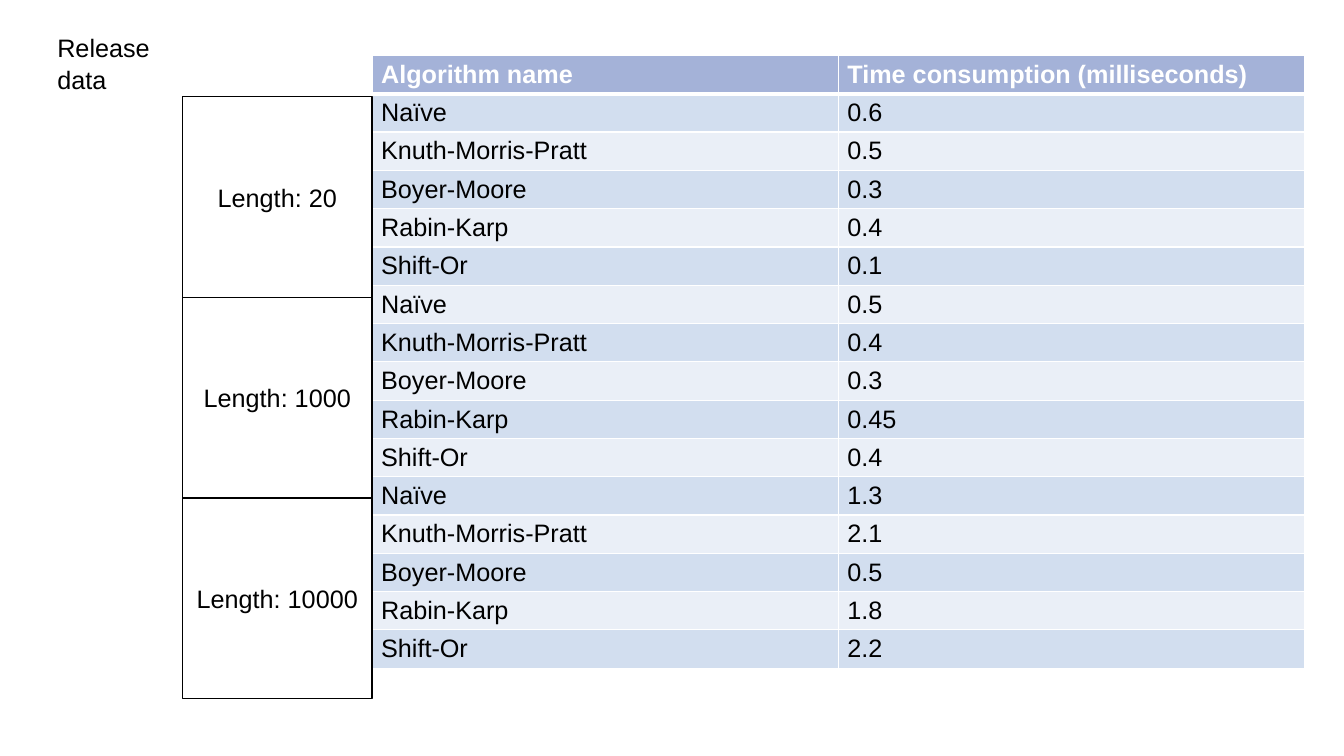
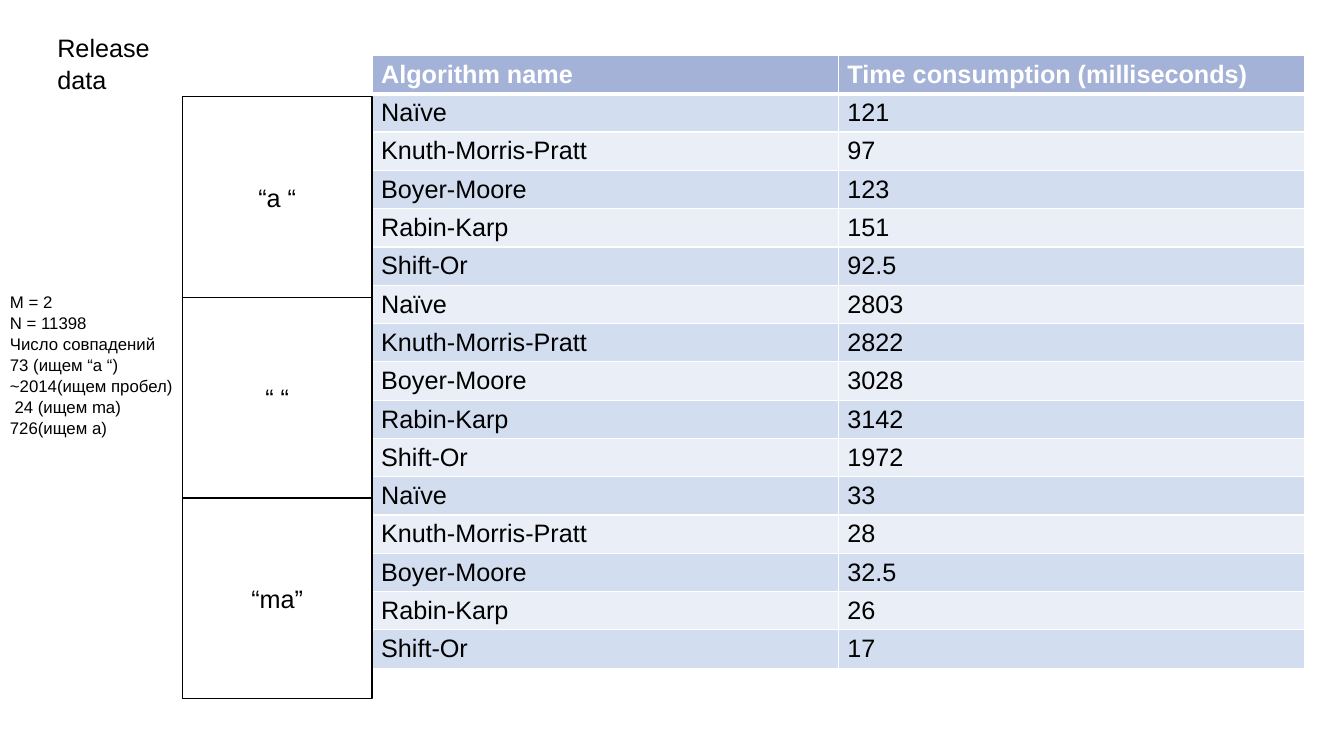
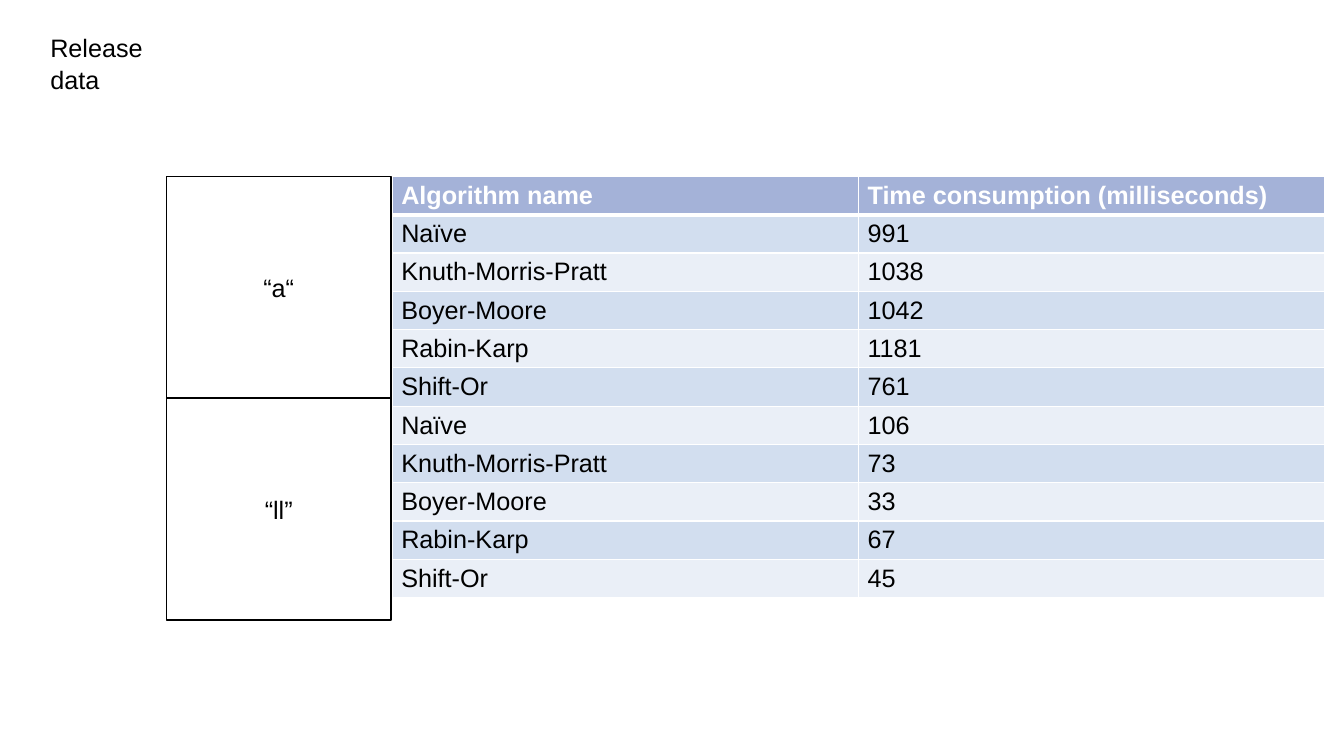
from dataclasses import dataclass
from itertools import cycle

from lxml import etree
from pptx import Presentation
from pptx.dml.color import RGBColor
from pptx.enum.shapes import MSO_SHAPE
from pptx.enum.text import MSO_ANCHOR, PP_ALIGN
from pptx.oxml.ns import qn
from pptx.util import Inches, Pt

RECT = MSO_SHAPE.RECTANGLE
MIDDLE = MSO_ANCHOR.MIDDLE
LEFT, CENTER = PP_ALIGN.LEFT, PP_ALIGN.CENTER


@dataclass(frozen=True)
class Theme:
    font: str = "Arial"
    body: int = 18
    small: int = 12
    ink: str = "000000"
    paper: str = "FFFFFF"
    header: str = "A4B2D8"
    bands: tuple = ("D2DEEF", "EAEFF7")
    row_h: float = 0.38
    table_w: float = 9.25


T = Theme()
HEADERS = ("Algorithm name", "Time consumption (milliseconds)")
ALGORITHMS = ("Naïve", "Knuth-Morris-Pratt", "Boyer-Moore", "Rabin-Karp", "Shift-Or")
NOTE = ("M = 2", "N = 11398", "Число совпадений", "73 (ищем “a “)",
        "~2014(ищем пробел)", " 24 (ищем ma)", "726(ищем а)")

# Each slide: heading left, table corner, label column box, results by label, note
SLIDES = (
    dict(heading_x=0.47, table=(3.69, 0.55), labels=(1.81, 0.96, 1.88, 5.97),
         results={"Length: 20": ("0.6", "0.5", "0.3", "0.4", "0.1"),
                  "Length: 1000": ("0.5", "0.4", "0.3", "0.45", "0.4"),
                  "Length: 10000": ("1.3", "2.1", "0.5", "1.8", "2.2")}),
    dict(heading_x=0.47, table=(3.69, 0.55), labels=(1.81, 0.96, 1.88, 5.97),
         results={"“a “": ("121", "97", "123", "151", "92.5"),
                  "“ “": ("2803", "2822", "3028", "3142", "1972"),
                  "“ma”": ("33", "28", "32.5", "26", "17")},
         note=NOTE),
    dict(heading_x=0.4, table=(3.89, 1.75), labels=(1.65, 1.75, 2.23, 4.4),
         results={"“a“": ("991", "1038", "1042", "1181", "761"),
                  "“ll”": ("106", "73", "33", "67", "45")}),
)


def rgb(color):
    return RGBColor.from_string(color)


def write(p, text, size=T.body, color=T.ink, bold=False, align=LEFT):
    p.alignment = align
    r = p.add_run()
    r.text = text
    r.font.name, r.font.size, r.font.bold = T.font, Pt(size), bold
    r.font.color.rgb = rgb(color)


def set_borders(cell, top=1, bottom=1):
    tc_pr = cell._tc.get_or_add_tcPr()
    for tag, width in (("lnL", 1), ("lnR", 1), ("lnT", top), ("lnB", bottom)):
        ln = etree.SubElement(tc_pr, qn(f"a:{tag}"), w=str(Pt(width)))
        fill = etree.SubElement(ln, qn("a:solidFill"))
        etree.SubElement(fill, qn("a:srgbClr"), val=T.paper)


def add_lines(slide, box, lines, size, spacing):
    """Text box with one paragraph per line."""
    tf = slide.shapes.add_textbox(*map(Inches, box)).text_frame
    tf.word_wrap = True
    for i, line in enumerate(lines):
        p = tf.add_paragraph() if i else tf.paragraphs[0]
        p.line_spacing = spacing
        write(p, line, size)


def add_results(slide, corner, results):
    """Banded table: a header, then every algorithm for each label."""
    values = [v for group in results.values() for v in group]
    rows = [HEADERS, *zip(cycle(ALGORITHMS), values)]
    box = (*corner, T.table_w, T.row_h * len(rows))
    table = slide.shapes.add_table(len(rows), len(HEADERS), *map(Inches, box)).table
    for i, row in enumerate(rows):
        table.rows[i].height = Inches(T.row_h)
        head = i == 0
        for j, text in enumerate(row):
            cell = table.cell(i, j)
            set_borders(cell, top=3 if i == 1 else 1, bottom=3 if head else 1)
            cell.fill.solid()
            cell.fill.fore_color.rgb = rgb(T.header if head else T.bands[(i - 1) % 2])
            cell.margin_left = cell.margin_right = Inches(0.09)
            cell.margin_top = cell.margin_bottom = Inches(0.04)
            cell.vertical_anchor = MIDDLE
            write(cell.text_frame.paragraphs[0], text,
                  color=T.paper if head else T.ink, bold=head)


def add_labels(slide, box, labels):
    """Column of equal outlined boxes beside the table."""
    x, y, w, h = box
    step = h / len(labels)
    for i, label in enumerate(labels):
        sp = slide.shapes.add_shape(RECT, *map(Inches, (x, y + i * step, w, step)))
        sp.shadow.inherit = False
        sp.fill.background()
        sp.line.color.rgb = rgb(T.ink)
        sp.line.width = Pt(1)
        tf = sp.text_frame
        tf.word_wrap = True
        tf.vertical_anchor = MIDDLE
        write(tf.paragraphs[0], label, align=CENTER)


def add_results_slide(prs, heading_x, table, labels, results, note=()):
    slide = prs.slides.add_slide(prs.slide_layouts[6])
    add_results(slide, table, results)
    add_labels(slide, labels, list(results))
    add_lines(slide, (heading_x, 0.25, 2.42, 0.71), ("Release", "data"), T.body, 1.06)
    if note:
        add_lines(slide, (0, 2.84, 2.78, 1.82), note, T.small, 1.04)


def main():
    prs = Presentation()
    prs.slide_width, prs.slide_height = Inches(13.33), Inches(7.5)
    for content in SLIDES:
        add_results_slide(prs, **content)
    prs.save("out.pptx")


if __name__ == "__main__":
    main()
